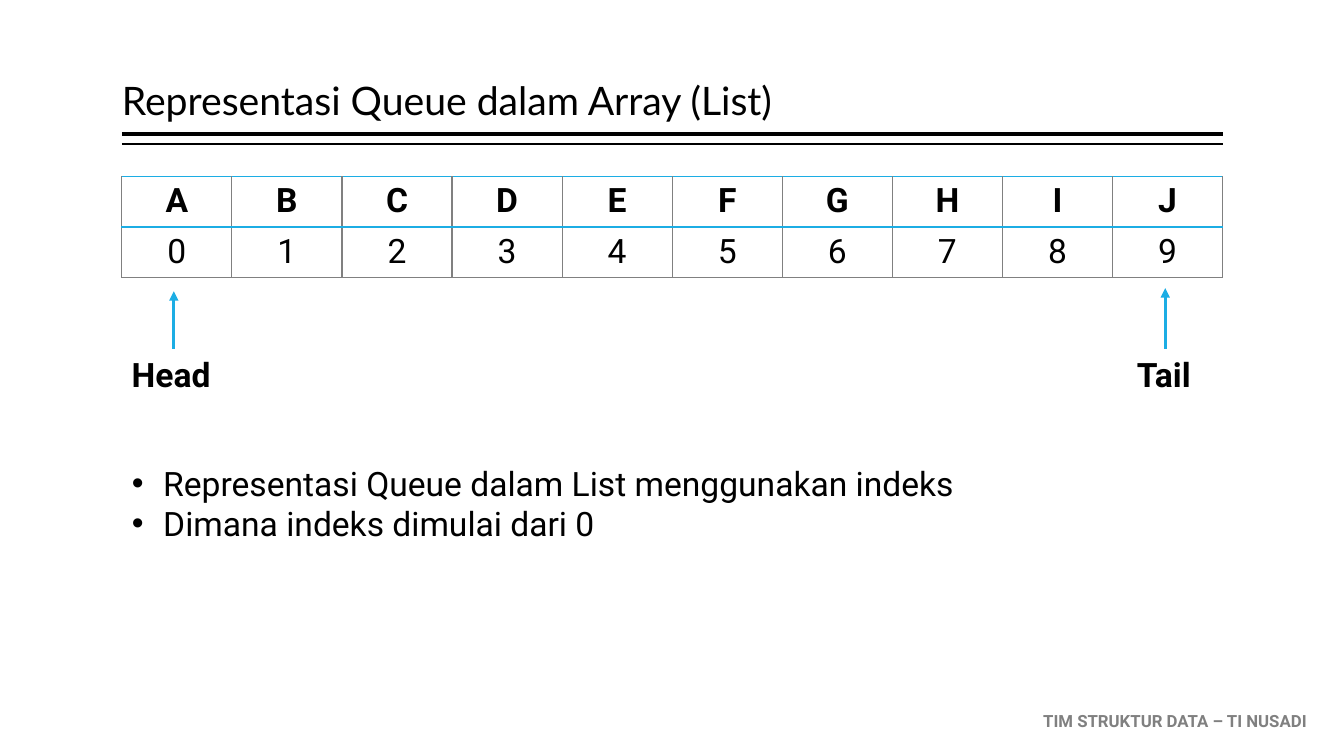
from lxml.etree import SubElement as Sub
from pptx import Presentation
from pptx.dml.color import RGBColor as Rgb
from pptx.enum.shapes import MSO_CONNECTOR as Link
from pptx.enum.text import MSO_ANCHOR as Anchor, MSO_AUTO_SIZE as Fit, PP_ALIGN as Align
from pptx.oxml import parse_xml
from pptx.oxml.ns import qn
from pptx.util import Cm, Pt

BLUE, GREY, BLACK, WHITE = "1CADE4", "808080", "000000", "FFFFFF"
LEFT, WIDE = 3.07, 27.74
SPACE = "http://schemas.openxmlformats.org/drawingml/2006/main"


def tint(code):
    return Rgb.from_string(code)


def write(para, text, size=24, bold=False, face="Roboto", code=BLACK):
    run = para.add_run()
    run.text = text
    font = run.font
    font.size, font.bold, font.name = Pt(size), bold, face
    font.color.rgb = tint(code)


def place(shape, x, y, w, h):
    shape.left, shape.top, shape.width, shape.height = Cm(x), Cm(y), Cm(w), Cm(h)


def rule(slide, x1, y1, x2, y2, width, code):
    line = slide.shapes.add_connector(Link.STRAIGHT, Cm(x1), Cm(y1), Cm(x2), Cm(y2))
    line.line.width = Pt(width)
    line.line.color.rgb = tint(code)
    Sub(line._element.spPr, qn("a:effectLst"))
    return line


def label(slide, x, y, w, h, text, **look):
    box = slide.shapes.add_textbox(Cm(x), Cm(y), Cm(w), Cm(h))
    box.text_frame.word_wrap = False
    write(box.text_frame.paragraphs[0], text, bold=True, **look)
    return box


def header(slide, x, y, w, h):
    title = slide.shapes.title
    place(title, x, y, w, h)
    frame = title.text_frame
    frame.auto_size = Fit.NONE
    frame.vertical_anchor = Anchor.BOTTOM
    frame.margin_left = frame.margin_right = 0
    para = frame.paragraphs[0]
    para.alignment, para.line_spacing = Align.LEFT, 0.9
    write(para, "Representasi Queue dalam Array (List)", 28, face="Lato")
    for gap, width in ((0.13, 3), (0.38, 1)):
        rule(slide, x, y + h + gap, x + w, y + h + gap, width, BLACK)


def border(cell, edges):
    props = cell._tc.get_or_add_tcPr()
    for spot, (side, (code, width)) in enumerate(edges.items()):
        props.insert(spot, parse_xml(
            f'<a:ln{side} xmlns:a="{SPACE}" w="{Pt(width)}"><a:solidFill>'
            f'<a:srgbClr val="{code}"/></a:solidFill></a:ln{side}>'))


def queue(slide, x, y, w, h):
    rows = ("ABCDEFGHIJ", "0123456789")
    grid = slide.shapes.add_table(2, 10, Cm(x), Cm(y), Cm(w), Cm(h)).table
    grid.first_row = grid.horz_banding = False
    side, mid = (GREY, 1), (BLUE, 2)
    tops, ends = ((BLUE, 1), mid), (mid, side)
    for r, row in enumerate(rows):
        for c, text in enumerate(row):
            cell = grid.cell(r, c)
            cell.fill.solid()
            cell.fill.fore_color.rgb = tint(WHITE)
            border(cell, {"L": side, "R": side, "T": tops[r], "B": ends[r]})
            para = cell.text_frame.paragraphs[0]
            para.alignment = Align.CENTER
            write(para, text, bold=r == 0)


def pointer(slide, x, y, w, h, tip, text):
    box = label(slide, x, y, w, h, text)
    mid = x + w / 2
    arrow = rule(slide, mid, y, mid, tip, 2.25, BLUE)
    arrow.begin_connect(box, 0)
    Sub(arrow.line._get_or_add_ln(), qn("a:tailEnd"), type="triangle")


def notes(slide, x, y, w, h):
    body = slide.placeholders[1]
    place(body, x, y, w, h)
    frame = body.text_frame
    frame.auto_size = Fit.NONE
    items = ("Representasi Queue dalam List menggunakan indeks",
             "Dimana indeks dimulai dari 0")
    for i, text in enumerate(items):
        para = frame.add_paragraph() if i else frame.paragraphs[0]
        para.space_before = Pt(0)
        props = para._p.get_or_add_pPr()
        props.set("marL", str(Cm(0.79)))
        props.set("indent", str(-Cm(0.79)))
        Sub(props, qn("a:buFont"), typeface="Arial")
        Sub(props, qn("a:buChar"), char="•")
        write(para, text)


def main():
    deck = Presentation()
    deck.slide_width, deck.slide_height = Cm(33.87), Cm(19.05)
    slide = deck.slides.add_slide(deck.slide_layouts[1])
    header(slide, LEFT, 0.2, WIDE, 3.05)
    queue(slide, LEFT, 4.45, WIDE, 2.54)
    pointer(slide, LEFT, 8.79, 2.62, 1.27, 7.34, "Head")
    pointer(slide, 28.4, 8.79, 1.93, 1.27, 7.26, "Tail")
    notes(slide, LEFT, 11.53, 21.67, 2.31)
    label(slide, 26.04, 17.78, 7.57, 0.76, "TIM STRUKTUR DATA – TI NUSADI",
          size=12, code=GREY)
    deck.save("out.pptx")


if __name__ == "__main__":
    main()
